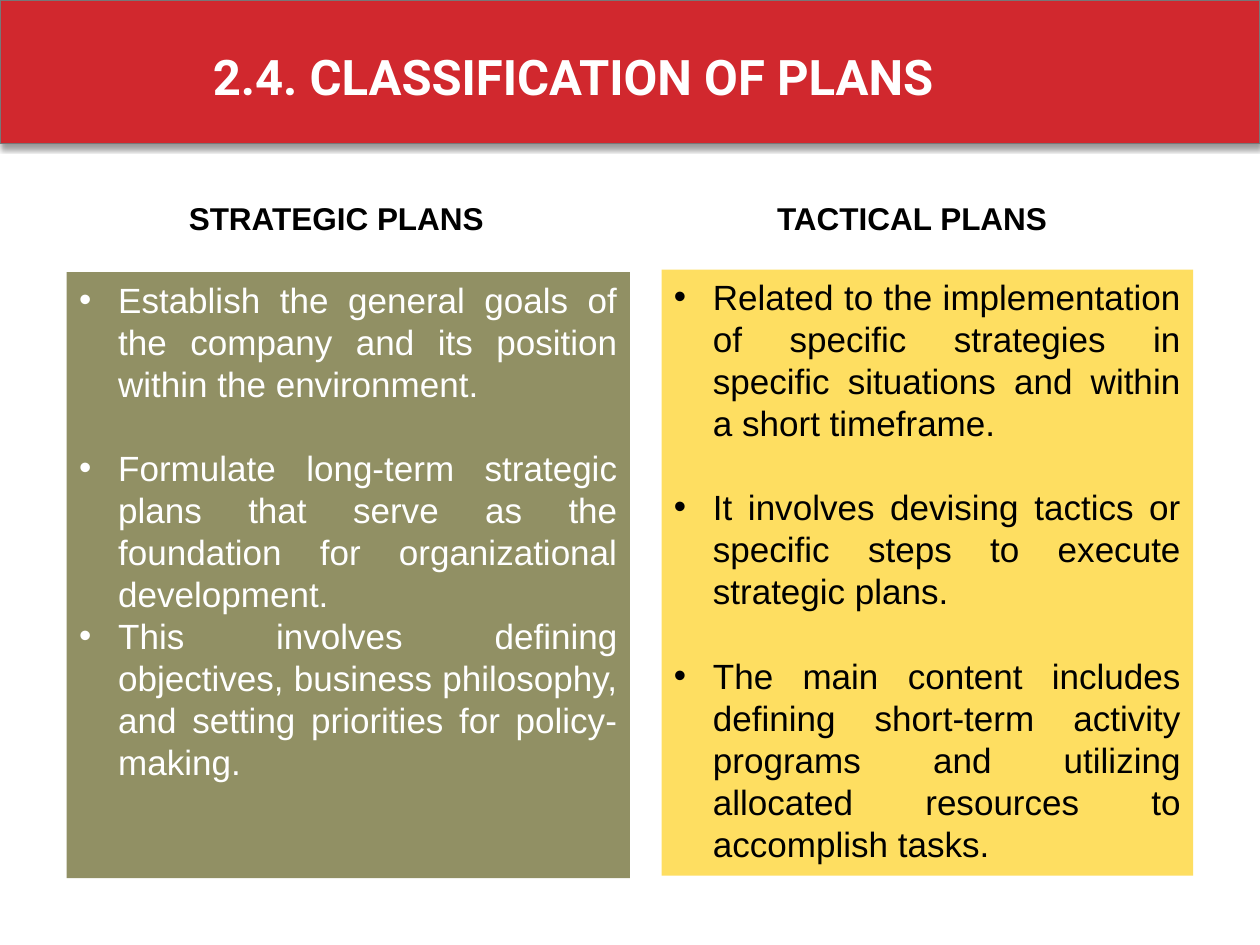
from dataclasses import dataclass

from lxml import etree
from pptx import Presentation
from pptx.dml.color import RGBColor
from pptx.enum.shapes import MSO_SHAPE
from pptx.enum.text import MSO_ANCHOR, PP_ALIGN
from pptx.oxml import parse_xml
from pptx.oxml.ns import qn
from pptx.slide import Slide
from pptx.util import Inches, Pt

RECTANGLE = MSO_SHAPE.RECTANGLE
TOP = MSO_ANCHOR.TOP
LEFT, CENTER, JUSTIFY = PP_ALIGN.LEFT, PP_ALIGN.CENTER, PP_ALIGN.JUSTIFY

RED = RGBColor(0xD1, 0x28, 0x2E)
GRAY = RGBColor(0x77, 0x77, 0x77)
OLIVE = RGBColor(0x91, 0x90, 0x64)
YELLOW = RGBColor(0xFE, 0xDE, 0x61)
WHITE = RGBColor(0xFF, 0xFF, 0xFF)
BLACK = RGBColor(0x00, 0x00, 0x00)

SHADOW = (
    '<a:effectLst xmlns:a="http://schemas.openxmlformats.org/drawingml/2006/main">'
    '<a:outerShdw blurRad="40000" dist="23000" dir="5400000" rotWithShape="0">'
    '<a:srgbClr val="000000"><a:alpha val="40000"/></a:srgbClr>'
    "</a:outerShdw></a:effectLst>"
)

STRATEGIC_POINTS = [
    ("Establish the general goals of the company and its position within the environment.", 0),
    ("Formulate long-term strategic plans that serve as the foundation for "
     "organizational development.", 24),
    ("This involves defining objectives, business philosophy, and setting priorities "
     "for policy-making.", 0),
]
TACTICAL_POINTS = [
    ("Related to the implementation of specific strategies in specific situations "
     "and within a short timeframe.", 0),
    ("It involves devising tactics or specific steps to execute strategic plans.", 24),
    ("The main content includes defining short-term activity programs and utilizing "
     "allocated resources to accomplish tasks.", 24),
]


@dataclass
class SlideBuilder:
    slide: Slide
    body_font: str = "Arial"
    title_font: str = "Roboto"
    body_size: int = 20
    line_pitch: int = 24
    indent: float = 0.31

    def rectangle(self, left, top, width, height, color):
        box = self.slide.shapes.add_shape(
            RECTANGLE, Inches(left), Inches(top), Inches(width), Inches(height))
        box.shadow.inherit = False
        box.fill.solid()
        box.fill.fore_color.rgb = color
        box.line.fill.background()
        return box

    def banner(self, height, color):
        box = self.rectangle(0, 0, 10, height, color)
        box.line.color.rgb = GRAY
        box.line.width = Pt(1)
        properties = box.fill._xPr
        properties.replace(properties.find(qn("a:effectLst")), parse_xml(SHADOW))

    def span(self, para, text, font, size, color, bold=False):
        span = para.add_run()
        span.text = text
        span.font.name = font
        span.font.size = Pt(size)
        span.font.bold = bold
        span.font.color.rgb = color

    def label(self, left, top, width, height, text, font, size, color, alignment):
        box = self.slide.shapes.add_textbox(
            Inches(left), Inches(top), Inches(width), Inches(height))
        box.text_frame.word_wrap = True
        para = box.text_frame.paragraphs[0]
        para.alignment = alignment
        self.span(para, text, font, size, color, bold=True)

    def bullet(self, para):
        properties = para._p.get_or_add_pPr()
        properties.set("marL", str(Inches(self.indent)))
        properties.set("indent", str(-Inches(self.indent)))
        etree.SubElement(properties, qn("a:buFont")).set("typeface", self.body_font)
        etree.SubElement(properties, qn("a:buChar")).set("char", "•")

    def panel(self, left, top, width, height, color, text_color, points):
        frame = self.rectangle(left, top, width, height, color).text_frame
        frame.word_wrap = True
        frame.vertical_anchor = TOP
        for index, (text, gap) in enumerate(points):
            para = frame.add_paragraph() if index else frame.paragraphs[0]
            self.bullet(para)
            para.alignment = JUSTIFY
            para.line_spacing = Pt(self.line_pitch)
            para.space_before = Pt(gap)
            self.span(para, text, self.body_font, self.body_size, text_color)

    def heading(self, left, width, text):
        self.label(left, 1.53, width, 0.4, text, self.body_font, 18, BLACK, CENTER)

    def title(self, text):
        self.label(1.59, 0.32, 8.22, 0.57, text, self.title_font, 28, WHITE, LEFT)


def main():
    deck = Presentation()
    deck.slide_width, deck.slide_height = Inches(10), Inches(7.5)
    builder = SlideBuilder(deck.slides.add_slide(deck.slide_layouts[6]))
    builder.banner(1.14, RED)
    builder.panel(0.53, 2.16, 4.47, 4.81, OLIVE, WHITE, STRATEGIC_POINTS)
    builder.panel(5.25, 2.14, 4.22, 4.81, YELLOW, BLACK, TACTICAL_POINTS)
    builder.heading(0.85, 3.64, "STRATEGIC PLANS")
    builder.heading(5.51, 3.46, "TACTICAL PLANS")
    builder.title("2.4. CLASSIFICATION OF PLANS")
    deck.save("out.pptx")


if __name__ == "__main__":
    main()
